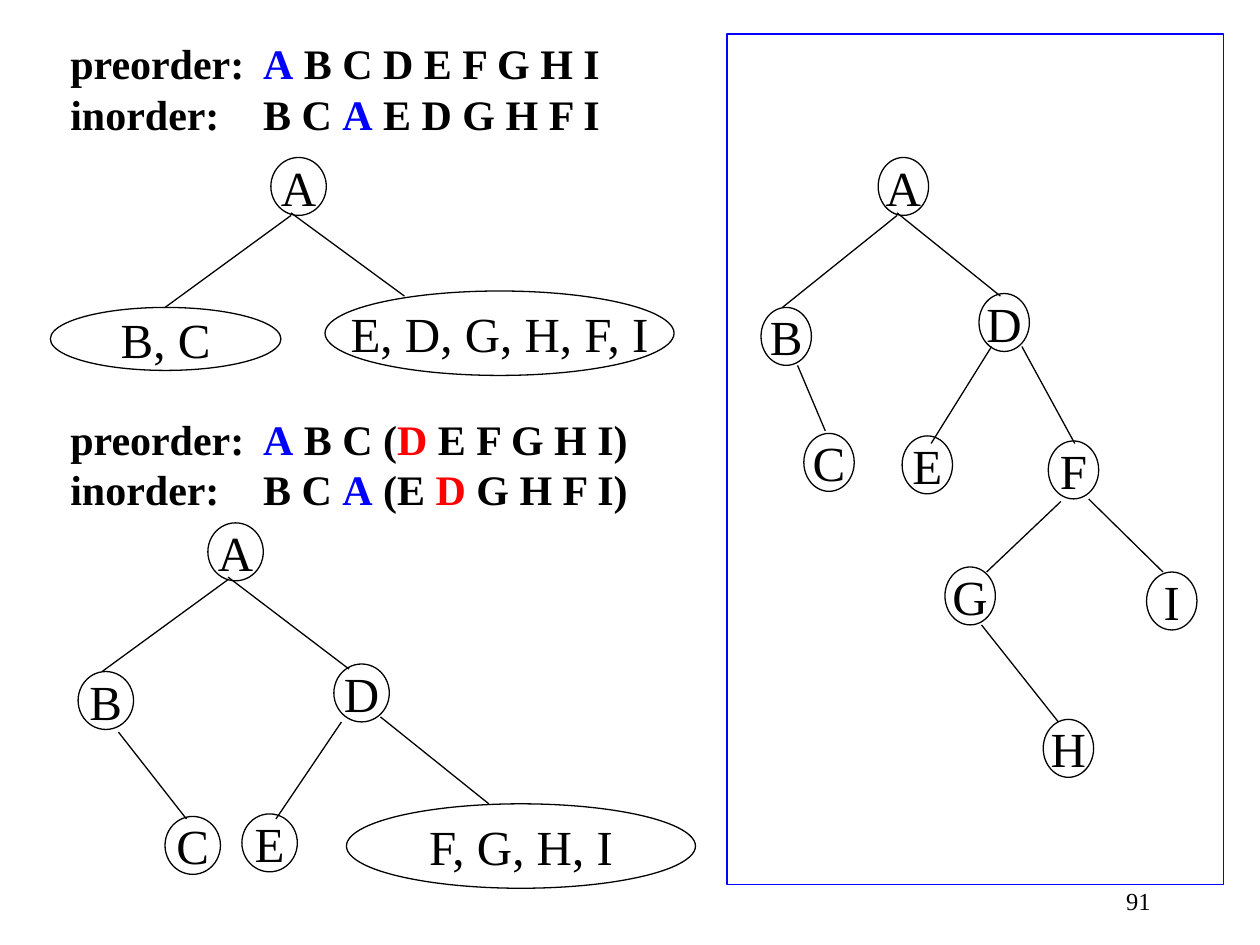
from lxml import etree
from pptx import Presentation
from pptx.dml.color import RGBColor
from pptx.enum.shapes import MSO_CONNECTOR, MSO_SHAPE
from pptx.enum.text import MSO_ANCHOR, PP_ALIGN
from pptx.oxml.ns import qn
from pptx.util import Inches, Pt

COLORS = {"black": "000000", "blue": "0000FF", "red": "FF0000"}
FONT = "Times New Roman"


def write_text(shape, lines, size=28, bold=False, align=PP_ALIGN.CENTER,
               anchor=MSO_ANCHOR.MIDDLE, tab=None):
    """Write lines of (text, color) runs into one paragraph."""
    frame = shape.text_frame
    frame.word_wrap = False
    frame.vertical_anchor = anchor
    paragraph = frame.paragraphs[0]
    paragraph.alignment = align
    if tab:
        properties = paragraph._p.get_or_add_pPr()
        tabs = etree.SubElement(properties, qn("a:tabLst"))
        etree.SubElement(tabs, qn("a:tab"), pos=str(Inches(tab)), algn="l")
    for index, line in enumerate(lines):
        if index:
            paragraph.add_line_break()
        for text, color in line:
            run = paragraph.add_run()
            run.text = text
            run.font.name = FONT
            run.font.size = Pt(size)
            run.font.bold = bold
            run.font.color.rgb = RGBColor.from_string(COLORS[color])


def set_outline(shape, color):
    shape.line.color.rgb = RGBColor.from_string(COLORS[color])
    shape.line.width = Pt(0.75)


presentation = Presentation()
presentation.slide_width = Inches(10)
presentation.slide_height = Inches(7.5)
slide = presentation.slides.add_slide(presentation.slide_layouts[6])

# Traversal orders: top, width, lines of colored runs
traversals = [
    (0.25, 4.44, [
        [("preorder:\t", "black"), ("A", "blue"), (" B C D E F G H I", "black")],
        [("inorder:\tB C ", "black"), ("A", "blue"), (" E D G H F I", "black")],
    ]),
    (3.23, 4.66, [
        [("preorder:\t", "black"), ("A", "blue"), (" B C (", "black"),
         ("D", "red"), (" E F G H I)", "black")],
        [("inorder:\tB C ", "black"), ("A", "blue"), (" (E ", "black"),
         ("D", "red"), (" G H F I)", "black")],
    ]),
]
for top, width, lines in traversals:
    box = slide.shapes.add_textbox(Inches(0.46), Inches(top), Inches(width), Inches(0.9))
    write_text(box, lines, size=24, bold=True, align=PP_ALIGN.LEFT,
               anchor=MSO_ANCHOR.TOP, tab=1.53)

# Trees: node width, nodes (label, left, top), subtrees with their own size, edges
NODE_HEIGHT = 0.46
trees = [
    {"width": 0.44,
     "nodes": [("A", 2.15, 1.25)],
     "subtrees": [("B, C", 0.4, 2.44, 1.83, 0.5),
                  ("E, D, G, H, F, I", 2.58, 2.31, 2.77, 0.67)],
     "edges": [(2.31, 1.71, 1.31, 2.44), (2.31, 1.69, 3.21, 2.35)]},
    {"width": 0.44,
     "nodes": [("A", 1.65, 4.15), ("B", 0.62, 5.33), ("C", 1.31, 6.48),
               ("D", 2.65, 5.27), ("E", 1.92, 6.46)],
     "subtrees": [("F, G, H, I", 2.75, 6.38, 2.77, 0.67)],
     "edges": [(1.81, 4.6, 0.81, 5.33), (1.81, 4.58, 2.77, 5.31),
               (0.94, 5.81, 1.48, 6.5), (2.71, 5.73, 2.19, 6.5),
               (3.02, 5.69, 3.88, 6.38)]},
    {"width": 0.4,
     "nodes": [("A", 6.97, 1.25), ("B", 6.04, 2.44), ("C", 6.38, 3.44),
               ("D", 7.77, 2.33), ("E", 7.16, 3.46), ("F", 8.32, 3.5),
               ("G", 7.5, 4.5), ("I", 9.1, 4.54), ("H", 8.28, 5.71)],
     "subtrees": [],
     "edges": [(7.12, 1.71, 6.21, 2.44), (7.12, 1.69, 7.94, 2.35),
               (6.33, 2.9, 6.55, 3.42), (7.87, 2.75, 7.39, 3.52),
               (8.11, 2.75, 8.53, 3.52), (8.42, 3.98, 7.83, 4.54),
               (8.64, 3.96, 9.23, 4.54), (7.79, 4.96, 8.4, 5.73)]},
]
for tree in trees:
    group = slide.shapes.add_group_shape()
    nodes = [(*node, tree["width"], NODE_HEIGHT) for node in tree["nodes"]]
    for label, *bounds in nodes + tree["subtrees"]:
        ellipse = group.shapes.add_shape(MSO_SHAPE.OVAL, *map(Inches, bounds))
        ellipse.shadow.inherit = False
        ellipse.fill.background()
        set_outline(ellipse, "black")
        write_text(ellipse, [[(label, "black")]])
    for ends in tree["edges"]:
        edge = group.shapes.add_connector(MSO_CONNECTOR.STRAIGHT, *map(Inches, ends))
        set_outline(edge, "black")
        etree.SubElement(edge._element.spPr, qn("a:effectLst"))

# Frame around the finished tree
frame_box = slide.shapes.add_shape(MSO_SHAPE.RECTANGLE, Inches(5.77), Inches(0.27),
                                   Inches(3.94), Inches(6.75))
frame_box.shadow.inherit = False
frame_box.fill.background()
set_outline(frame_box, "blue")

# Slide number
number = slide.shapes.add_textbox(Inches(7.15), Inches(6.98), Inches(2.08), Inches(0.5))
write_text(number, [[("91", "black")]], size=14, align=PP_ALIGN.RIGHT,
           anchor=MSO_ANCHOR.TOP)
number.text_frame.word_wrap = True

presentation.save("out.pptx")
